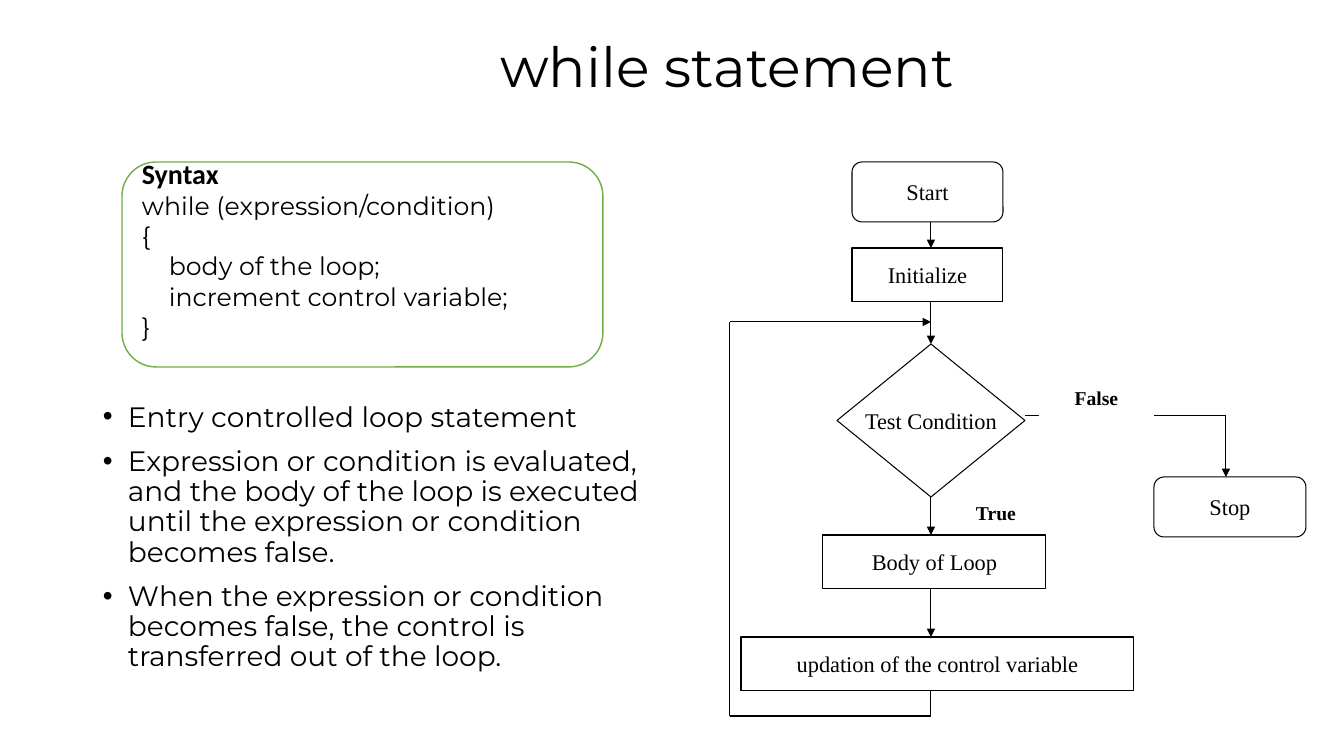
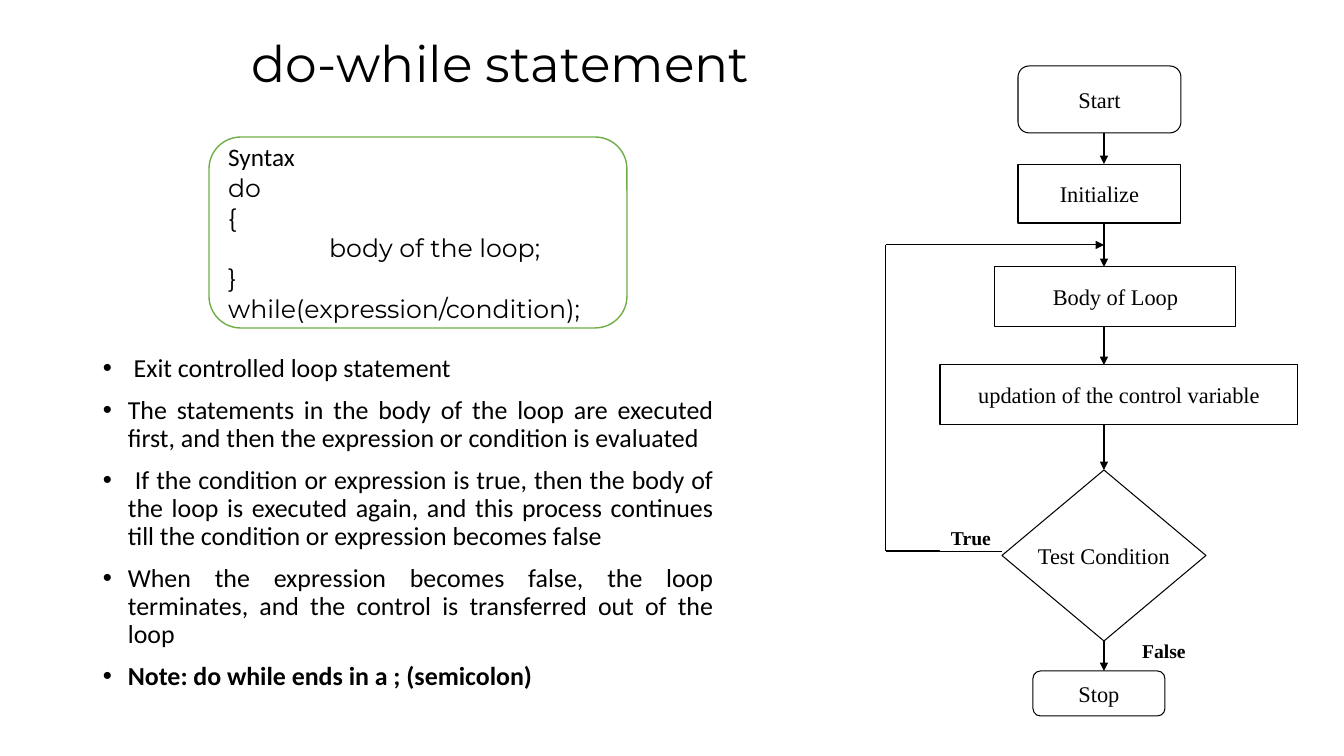
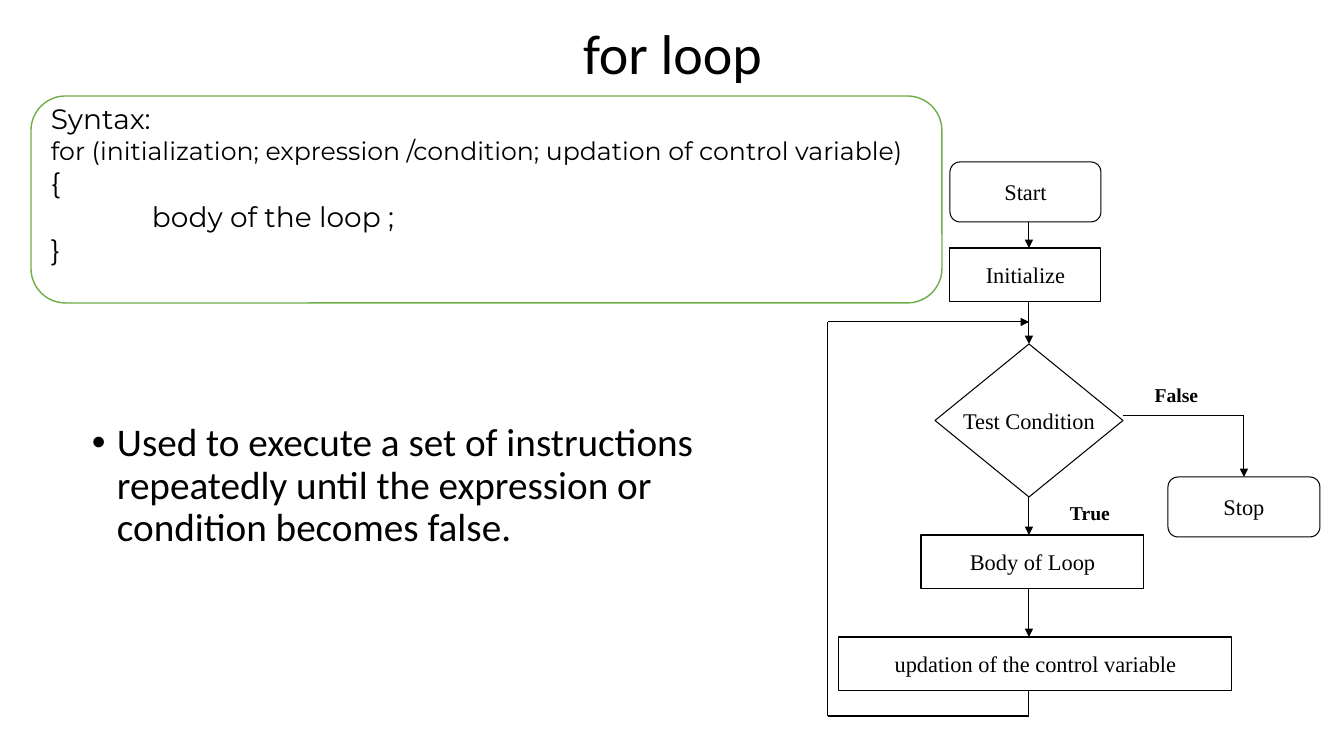
import dataclasses
import lxml.etree
import pptx
import pptx.dml.color
import pptx.enum.shapes
import pptx.enum.text
import pptx.oxml.ns
import pptx.util

Kind = pptx.enum.shapes.MSO_SHAPE
Align = pptx.enum.text.PP_ALIGN
Anchor = pptx.enum.text.MSO_ANCHOR
qn = pptx.oxml.ns.qn
SCALE = 914400 / 100.8


@dataclasses.dataclass(frozen=True)
class Theme:
    ink: str = "000000"
    paper: str = "FFFFFF"
    green: str = "70AD47"
    sans: str = "Calibri"
    mont: str = "Montserrat"
    serif: str = "Times New Roman"
    bullet: str = "Arial"
    node: float = 16
    tag: float = 14
    code: float = 18
    lead: float = 20
    note: float = 18.5
    large: float = 28
    heads: tuple = (39.6, 36, 40)
    thin: float = 0.75
    edge: float = 1


T = Theme()


def px(n):
    return pptx.util.Emu(round(n * SCALE))


def rgb(code):
    return pptx.dml.color.RGBColor.from_string(code)


def add(parent, tag, **attrs):
    return lxml.etree.SubElement(parent, qn(tag), attrs)


def put(para, text, face, size, bold=False):
    run = para.add_run()
    run.text = text
    run.font.name = face
    run.font.size = pptx.util.Pt(size)
    run.font.bold = bold
    run.font.color.rgb = rgb(T.ink)


def paras(frame, count):
    return [frame.paragraphs[0]] + [frame.add_paragraph() for _ in range(count - 1)]


def block(slide, kind, box, line=None, width=T.thin):
    shape = slide.shapes.add_shape(kind, *map(px, box))
    shape.shadow.inherit = False
    shape.fill.solid()
    shape.fill.fore_color.rgb = rgb(T.paper)
    if line:
        shape.line.color.rgb = rgb(line)
        shape.line.width = pptx.util.Pt(width)
    else:
        shape.line.fill.background()
    return shape


def title(slide, box, text, face, size):
    head = slide.shapes.title
    head.left, head.top, head.width, head.height = map(px, box)
    frame = head.text_frame
    frame.word_wrap = True
    frame.auto_size = pptx.enum.text.MSO_AUTO_SIZE.NONE
    frame.vertical_anchor = Anchor.MIDDLE
    para = frame.paragraphs[0]
    para.alignment = Align.CENTER
    para.line_spacing = 0.9
    put(para, text, face, size)


def bullets(slide, box, items, face, size):
    frame = slide.shapes.add_textbox(*map(px, box)).text_frame
    frame.word_wrap = True
    for para, (text, align, bold) in zip(paras(frame, len(items)), items):
        para.alignment = align
        para.line_spacing = 0.9
        para.space_before = pptx.util.Pt(10)
        props = para._p.get_or_add_pPr()
        props.set("marL", str(px(25)))
        props.set("indent", str(px(-25)))
        add(props, "a:buFont", typeface=T.bullet)
        add(props, "a:buChar", char="•")
        put(para, text, face, size, bold)


def syntax(slide, box, head, rows, foot=5):
    shape = block(slide, Kind.ROUNDED_RECTANGLE, box, T.green, T.edge)
    frame = shape.text_frame
    frame.word_wrap = True
    frame.vertical_anchor = Anchor.MIDDLE
    frame.margin_bottom = px(foot)
    lines = [(0, *head)] + [(pad, text, T.mont, size) for pad, text, size in rows]
    for para, (pad, *look) in zip(paras(frame, len(lines)), lines):
        para.alignment = Align.LEFT
        if pad:
            para._p.get_or_add_pPr().set("marL", str(px(pad)))
        put(para, *look)


def node(slide, kind, box, text):
    shape = block(slide, kind, box, T.ink)
    frame = shape.text_frame
    frame.word_wrap = False
    frame.vertical_anchor = Anchor.MIDDLE
    para = frame.paragraphs[0]
    para.alignment = Align.CENTER
    put(para, text, T.serif, T.node)
    return shape, box


def label(slide, box, text):
    frame = block(slide, Kind.RECTANGLE, box).text_frame
    frame.word_wrap = True
    frame.vertical_anchor = Anchor.TOP
    frame.margin_left = frame.margin_right = 0
    para = frame.paragraphs[0]
    para.alignment = Align.CENTER
    put(para, text, T.serif, T.tag, True)


def join(attach, spot, nodes):
    for shape, (x, y, w, h) in nodes:
        sides = ((x + w / 2, y), (x, y + h / 2), (x + w / 2, y + h), (x + w, y + h / 2))
        for site, (sx, sy) in enumerate(sides):
            if max(abs(sx - spot[0]), abs(sy - spot[1])) <= 1:
                attach(shape, site)


def link(slide, start, end, nodes, arrow):
    line = slide.shapes.add_connector(
        pptx.enum.shapes.MSO_CONNECTOR.STRAIGHT, *map(px, start + end))
    line.line.color.rgb = rgb(T.ink)
    line.line.width = pptx.util.Pt(T.thin)
    props = line.element.spPr
    if arrow:
        add(props.find(qn("a:ln")), "a:tailEnd", type="triangle")
    add(props, "a:effectLst")
    join(line.begin_connect, start, nodes)
    join(line.end_connect, end, nodes)


def flow(slide, spot, axis, stack, side, trails, tags):
    left, top = spot

    def move(box):
        return (left + box[0], top + box[1], *box[2:])

    nodes = [node(slide, kind, move(box), text) for kind, box, text in stack + side]
    drops = [[(axis, a[1] + a[3]), (axis, b[1])]
             for (_, a, _), (_, b, _) in zip(stack, stack[1:])]
    for trail in drops + trails:
        last = len(trail) - 2
        for i, (start, end) in enumerate(zip(trail, trail[1:])):
            link(slide, move(start), move(end), nodes, i == last)
    for box, text in tags:
        label(slide, move(box), text)


def entry(slide, spot, stop, turn, no, yes):
    axis = 201
    stack = [
        (Kind.ROUNDED_RECTANGLE, (122, 0, 151, 60), "Start"),
        (Kind.RECTANGLE, (122, 86, 151, 54), "Initialize"),
        (Kind.DIAMOND, (107, 182, 188, 153), "Test Condition"),
        (Kind.RECTANGLE, (93, 373, 223, 54), "Body of Loop"),
        (Kind.RECTANGLE, (11, 475, 393, 54), "updation of the control variable"),
    ]
    side = [(Kind.ROUNDED_RECTANGLE, (stop, 315, 152, 60), "Stop")]
    trails = [
        [(295, 254), (turn, 254), (turn, 315)],
        [(axis, 529), (axis, 554), (0, 554), (0, 160), (axis, 160)],
    ]
    tags = [((*no, 115, 36), "False"), ((yes, 334, 108, 36), "True")]
    flow(slide, spot, axis, stack, side, trails, tags)


def leave(slide, spot):
    axis = 218
    stack = [
        (Kind.ROUNDED_RECTANGLE, (132, 0, 163, 67), "Start"),
        (Kind.RECTANGLE, (132, 98, 163, 59), "Initialize"),
        (Kind.RECTANGLE, (109, 201, 241, 60), "Body of Loop"),
        (Kind.RECTANGLE, (54, 299, 358, 60), "updation of the control variable"),
        (Kind.DIAMOND, (116, 404, 204, 171), "Test Condition"),
        (Kind.ROUNDED_RECTANGLE, (147, 605, 132, 45), "Stop"),
    ]
    trails = [[(116, 485), (0, 485), (0, 179), (axis, 179)]]
    tags = [((228, 568, 100, 34), "False"), ((54, 455, 62, 30), "True")]
    flow(slide, spot, axis, stack, [], trails, tags)


def while_page(slide):
    title(slide, (147, 40, 1160, 60), "while statement", T.mont, T.heads[0])
    bullets(slide, (93, 398, 572, 292), [
        ("Entry controlled loop statement", Align.LEFT, False),
        ("Expression or condition is evaluated, and the body of the loop is executed "
         "until the expression or condition becomes false.", Align.LEFT, False),
        ("When the expression or condition becomes false, the control is transferred "
         "out of the loop.", Align.LEFT, False),
    ], T.mont, T.lead)
    entry(slide, (730, 162), 424, 496, (309, 219), 212)
    syntax(slide, (122, 162, 481, 205), ("Syntax", T.sans, T.lead, True), [
        (0, "while (expression/condition)", T.code),
        (0, "{", T.code),
        (27, "body of the loop;", T.code),
        (27, "increment control variable;", T.code),
        (0, "}", T.code),
    ], 36)


def do_page(slide):
    title(slide, (93, 40, 815, 52), "do-while statement", T.mont, T.heads[1])
    bullets(slide, (93, 350, 630, 387), [
        (" Exit controlled loop statement", Align.LEFT, False),
        ("The statements in the body of the loop are executed first, and then the "
         "expression or condition is evaluated", Align.JUSTIFY, False),
        (" If the condition or expression is true, then the body of the loop is "
         "executed again, and this process continues till the condition or expression "
         "becomes false", Align.JUSTIFY, False),
        ("When the expression becomes false, the loop terminates, and the control is "
         "transferred out of the loop", Align.JUSTIFY, False),
        ("Note: do while ends in a ; (semicolon)", Align.JUSTIFY, True),
    ], T.sans, T.note)
    leave(slide, (886, 66))
    syntax(slide, (209, 137, 418, 191), ("Syntax", T.sans, T.code), [
        (0, "do", T.code),
        (0, "{", T.code),
        (101, "body of the loop;", T.code),
        (0, "}", T.code),
        (0, "while(expression/condition);", T.code),
    ])


def for_page(slide):
    title(slide, (93, 18, 1159, 76), "for loop", T.sans, T.heads[2])
    bullets(slide, (82, 418, 653, 187), [
        ("Used to execute a set of instructions repeatedly until the expression or "
         "condition becomes false.", Align.LEFT, False),
    ], T.sans, T.large)
    entry(slide, (828, 162), 340, 416, (291, 216), 208)
    syntax(slide, (31, 96, 911, 207), ("Syntax:", T.mont, T.lead), [
        (0, "for (initialization; expression /condition; updation of control variable)",
         T.code),
        (0, "{", T.lead),
        (101, "body of the loop ;", T.lead),
        (0, "}", T.lead),
    ], 36)


def main():
    deck = pptx.Presentation()
    deck.slide_width, deck.slide_height = px(1344), px(756)
    for page in (while_page, do_page, for_page):
        page(deck.slides.add_slide(deck.slide_layouts[5]))
    deck.save("out.pptx")


if __name__ == "__main__":
    main()
